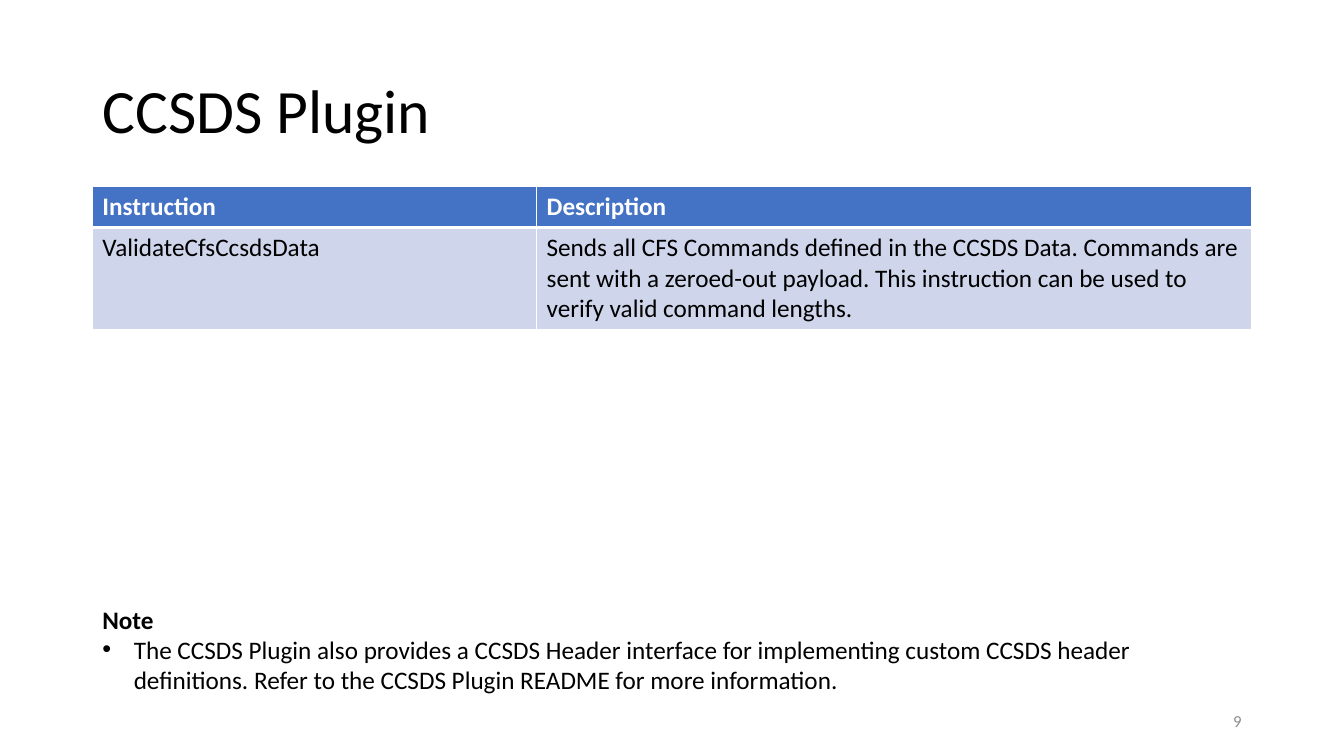
from lxml import etree
from pptx import Presentation
from pptx.dml.color import RGBColor
from pptx.enum.text import MSO_ANCHOR, PP_ALIGN
from pptx.oxml.ns import qn
from pptx.util import Pt

MIDDLE = MSO_ANCHOR.MIDDLE
TOP = MSO_ANCHOR.TOP
LEFT = PP_ALIGN.LEFT
RIGHT = PP_ALIGN.RIGHT

TITLE_ONLY = 5
MARGIN, CONTENT_WIDTH = 66, 828


def colour(value):
    return RGBColor.from_string(value)


class PluginPage:
    font = "Calibri"
    black, white, grey = "000000", "FFFFFF", "8C8C8C"
    header_fill, row_fill = "4472C4", "CFD5EA"

    def __init__(self, deck):
        self.page = deck.slides.add_slide(deck.slide_layouts[TITLE_ONLY])

    def add_span(self, para, text, size=18, ink=black, bold=False, align=LEFT):
        para.alignment = align
        span = para.add_run()
        span.text = text
        span.font.name = self.font
        span.font.size = Pt(size)
        span.font.bold = bold
        span.font.color.rgb = colour(ink)

    def title(self, text, top, height):
        box = self.page.shapes.title
        box.left, box.top = Pt(MARGIN), Pt(top)
        box.width, box.height = Pt(CONTENT_WIDTH), Pt(height)
        frame = box.text_frame
        frame.word_wrap = True
        frame.vertical_anchor = MIDDLE
        para = frame.paragraphs[0]
        para.line_spacing = 0.9
        self.add_span(para, text, size=44)

    def text_box(self, left, top, width, height, anchor=TOP):
        box = self.page.shapes.add_textbox(Pt(left), Pt(top), Pt(width), Pt(height))
        frame = box.text_frame
        frame.word_wrap = True
        frame.vertical_anchor = anchor
        return frame

    def bullet(self, para, indent):
        properties = para._p.get_or_add_pPr()
        properties.set("marL", str(Pt(indent)))
        properties.set("indent", str(-Pt(indent)))
        etree.SubElement(properties, qn("a:buFont"), typeface="Arial")
        etree.SubElement(properties, qn("a:buChar"), char="•")

    def note(self, heading, points, top, height):
        frame = self.text_box(MARGIN, top, CONTENT_WIDTH, height)
        self.add_span(frame.paragraphs[0], heading, bold=True)
        for point in points:
            para = frame.add_paragraph()
            self.bullet(para, 22.5)
            self.add_span(para, point)

    def page_number(self, text, left, top, width, height):
        frame = self.text_box(left, top, width, height, MIDDLE)
        self.add_span(frame.paragraphs[0], text, size=12, ink=self.grey, align=RIGHT)

    def cell_borders(self, cell, widths):
        properties = cell._tc.get_or_add_tcPr()
        for position, (side, width) in enumerate(widths.items()):
            line = etree.Element(qn(f"a:{side}"), w=str(Pt(width)))
            fill = etree.SubElement(line, qn("a:solidFill"))
            etree.SubElement(fill, qn("a:srgbClr"), val=self.white)
            properties.insert(position, line)

    def table(self, rows, top, widths, heights):
        table = self.page.shapes.add_table(
            len(rows), len(widths), Pt(MARGIN), Pt(top), Pt(sum(widths)), Pt(sum(heights))
        ).table
        for column, width in zip(table.columns, widths):
            column.width = Pt(width)
        for row, height in zip(table.rows, heights):
            row.height = Pt(height)
        for r, texts in enumerate(rows):
            header = r == 0
            borders = {"lnL": 1, "lnR": 1, "lnT": 3 if r == 1 else 1, "lnB": 3 if header else 1}
            for c, text in enumerate(texts):
                cell = table.cell(r, c)
                cell.fill.solid()
                cell.fill.fore_color.rgb = colour(self.header_fill if header else self.row_fill)
                self.cell_borders(cell, borders)
                ink = self.white if header else self.black
                self.add_span(cell.text_frame.paragraphs[0], text, ink=ink, bold=header)


def main():
    deck = Presentation()
    deck.slide_width, deck.slide_height = Pt(960), Pt(540)
    page = PluginPage(deck)

    # Title
    page.title("CCSDS Plugin", top=28.75, height=104.4)

    # Instruction table
    page.table(
        [
            ("Instruction", "Description"),
            (
                "ValidateCfsCcsdsData",
                "Sends all CFS Commands defined in the CCSDS Data. Commands are sent with "
                "a zeroed-out payload. This instruction can be used to verify valid "
                "command lengths.",
            ),
        ],
        top=133.2,
        widths=(317.3, 510.7),
        heights=(29.2, 72),
    )

    # Note
    page.note(
        "Note",
        [
            "The CCSDS Plugin also provides a CCSDS Header interface for implementing "
            "custom CCSDS header definitions. Refer to the CCSDS Plugin README for more "
            "information."
        ],
        top=427.8,
        height=72.7,
    )

    # Page number
    page.page_number("9", left=678, top=500.5, width=216, height=28.75)

    deck.save("out.pptx")


if __name__ == "__main__":
    main()
